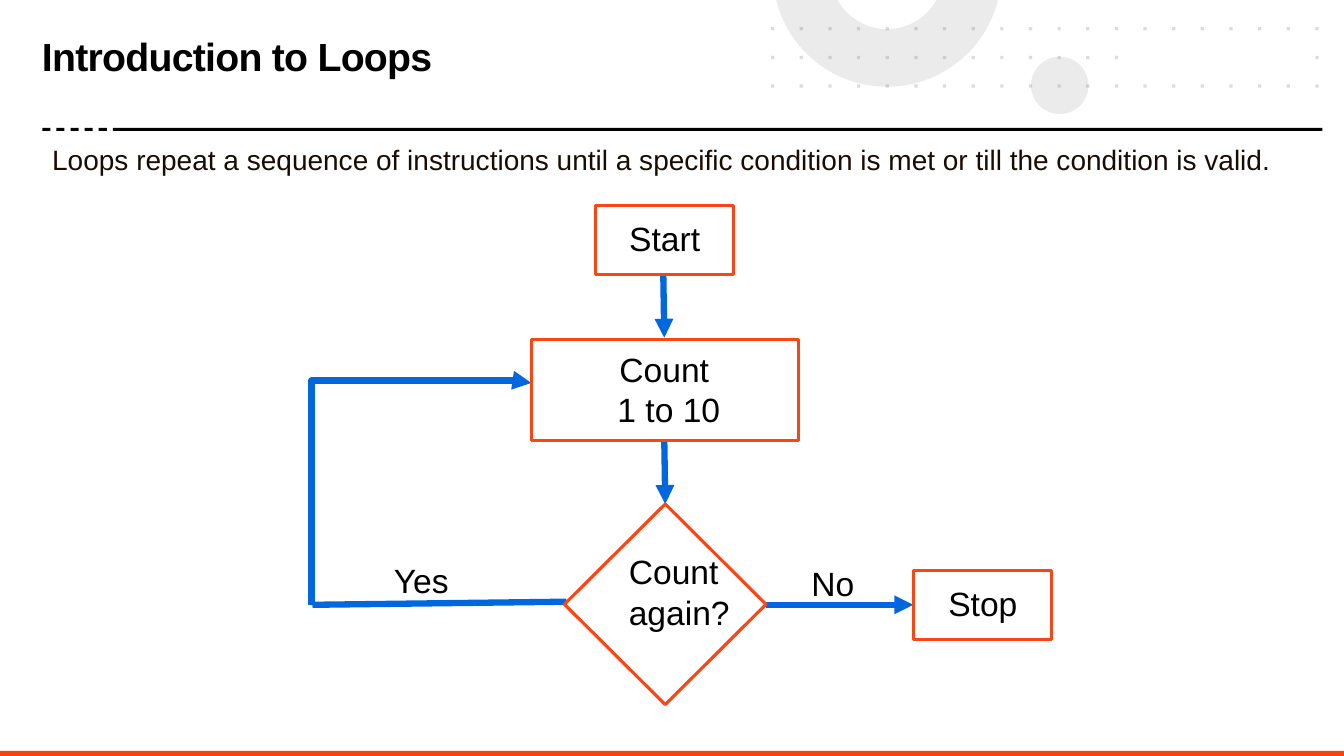
from dataclasses import dataclass
from math import asin, cos, pi, sin

from lxml.etree import SubElement
from pptx import Presentation
from pptx.dml.color import RGBColor
from pptx.enum.shapes import MSO_CONNECTOR, MSO_SHAPE
from pptx.enum.text import MSO_ANCHOR, MSO_AUTO_SIZE, PP_ALIGN
from pptx.oxml.ns import qn
from pptx.util import Pt


@dataclass(frozen=True)
class Theme:
    font: str = "Arial"
    black: RGBColor = RGBColor.from_string("000000")
    white: RGBColor = RGBColor.from_string("FFFFFF")
    body: RGBColor = RGBColor.from_string("1A0C02")
    footer: RGBColor = RGBColor.from_string("FA4211")
    outline: RGBColor = RGBColor.from_string("FA4616")
    arrow: RGBColor = RGBColor.from_string("0067DF")
    gray: RGBColor = RGBColor.from_string("D9D9D9")
    dots: RGBColor = RGBColor.from_string("44546A")
    title_size: int = 28
    body_size: int = 20
    label_size: int = 24


theme = Theme()


def paint(sp, color, outline=None, opacity=None):
    """Fill a shape, with an optional outline colour and opacity in percent."""
    sp.shadow.inherit = False
    sp.fill.solid()
    sp.fill.fore_color.rgb = color
    if opacity:
        rgb = sp._element.spPr.find(".//" + qn("a:srgbClr"))
        SubElement(rgb, qn("a:alpha"), val=str(opacity * 1000))
    if outline:
        sp.line.color.rgb = outline
        sp.line.width = Pt(2.25)
    else:
        sp.line.fill.background()


def write(tf, text, size, color, align=PP_ALIGN.LEFT):
    tf.word_wrap = True
    tf.auto_size = MSO_AUTO_SIZE.NONE
    tf.vertical_anchor = MSO_ANCHOR.TOP
    tf.text = text
    for p in tf.paragraphs:
        p.alignment = align
        for r in p.runs:
            r.font.name = theme.font
            r.font.size = Pt(size)
            r.font.color.rgb = color


prs = Presentation()
prs.slide_width, prs.slide_height = Pt(960), Pt(540)
s = prs.slides.add_slide(prs.slide_layouts[5])
shapes = s.shapes

# Corner decoration: disc, cut-off ring and dot grid
disc = shapes.add_shape(MSO_SHAPE.OVAL, Pt(736.5), Pt(40.5), Pt(41), Pt(41))
paint(disc, theme.gray, opacity=50)

ring_x, ring_y, steps = 633.6, -19.6, 48
ring_points = []
for radius, direction in ((81.6, 1), (40.4, -1)):
    start = asin(-ring_y / radius)
    arc = [start + (pi - 2 * start) * i / steps for i in range(steps + 1)]
    ring_points += [(Pt(ring_x + radius * cos(a)), Pt(ring_y + radius * sin(a)))
                    for a in arc[::direction]]
builder = shapes.build_freeform(*ring_points[0])
builder.add_line_segments(ring_points[1:])
paint(builder.convert_to_shape(), theme.gray, opacity=50)

dot, pitch = 2.3, 20.46
dots = [(550.8 + pitch * col, 19.4 + pitch * row)
        for row in range(3) for col in range(20)
        if not (row == 1 and 13 <= col <= 18)]
builder = shapes.build_freeform(Pt(dots[0][0]), Pt(dots[0][1]))
for x, y in dots:
    builder.move_to(Pt(x), Pt(y))
    builder.add_line_segments([(Pt(x + dot), Pt(y)), (Pt(x + dot), Pt(y + dot)),
                               (Pt(x), Pt(y + dot))])
paint(builder.convert_to_shape(), theme.dots, opacity=20)

# Title
title = shapes.title
title.left, title.top, title.width, title.height = Pt(30), Pt(28), Pt(520.5), Pt(54)
tf = title.text_frame
write(tf, "Introduction to Loops", theme.title_size, theme.black)
tf.margin_left = tf.margin_right = tf.margin_top = tf.margin_bottom = 0
p = tf.paragraphs[0]
p.line_spacing = 0.85
p.runs[0].font.bold = True
p.runs[0].font._element.set("spc", "-50")

# Dashed rule under the title and footer bar
bars = [(80.6, 91.4, 864, 2.2, theme.black), (0, 536.4, 960, 3.6, theme.footer)]
bars += [(30.2 + 10.08 * i, 91.4, 5.8, 2.2, theme.black) for i in range(5)]
for x, y, w, h, color in bars:
    bar = shapes.add_shape(MSO_SHAPE.RECTANGLE, Pt(x), Pt(y), Pt(w), Pt(h))
    paint(bar, color)

# Flowchart connectors: kind, start, end, arrowhead
straight, elbow = MSO_CONNECTOR.STRAIGHT, MSO_CONNECTOR.ELBOW
connectors = [
    (straight, 404.6, 429.8, 223.2, 432, False),
    (elbow, 380.2, 431.3, 221.8, 274.3, True),
    (straight, 474.5, 314.6, 475.2, 360, True),
    (straight, 547.2, 432, 652.3, 432, True),
    (straight, 473.8, 195.8, 474.5, 241.2, True),
]
for kind, x1, y1, x2, y2, arrowhead in connectors:
    line = shapes.add_connector(kind, Pt(x1), Pt(y1), Pt(x2), Pt(y2))
    line.line.color.rgb = theme.arrow
    line.line.width = Pt(4.5)
    spPr = line._element.spPr
    if arrowhead:
        SubElement(spPr.find(qn("a:ln")), qn("a:tailEnd"), type="triangle")
    SubElement(spPr, qn("a:effectLst"))
    if kind == elbow:
        spPr.find(qn("a:xfrm")).set("rot", "5400000")
        geometry = spPr.find(qn("a:prstGeom"))
        guides = geometry.find(qn("a:avLst"))
        if guides is None:
            guides = SubElement(geometry, qn("a:avLst"))
        SubElement(guides, qn("a:gd"), name="adj1", fmla="val 101100")

# Flowchart nodes
nodes = [
    (MSO_SHAPE.RECTANGLE, 425.5, 146.9, 98.6, 49),
    (MSO_SHAPE.RECTANGLE, 379.4, 242.6, 190.8, 72.4),
    (MSO_SHAPE.DIAMOND, 403.2, 360, 144, 143.3),
    (MSO_SHAPE.RECTANGLE, 652.3, 407.5, 98.6, 49),
]
for kind, x, y, w, h in nodes:
    node = shapes.add_shape(kind, Pt(x), Pt(y), Pt(w), Pt(h))
    paint(node, theme.white, theme.outline)

# Introductory sentence and flowchart labels
sentence = ("Loops repeat a sequence of instructions until a specific condition "
            "is met or till the condition is valid.")
left, center = PP_ALIGN.LEFT, PP_ALIGN.CENTER
texts = [
    (sentence, 30.2, 97.9, 912.2, 31.7, theme.body_size, theme.body, left),
    ("Start", 425.5, 151.9, 98.6, 38.9, theme.label_size, theme.black, center),
    ("Count \n1 to 10", 419.8, 245.5, 115.9, 70.6, theme.label_size, theme.black, center),
    ("Count again?", 442.1, 390.2, 89.3, 124.6, theme.label_size, theme.black, left),
    ("Stop", 670.3, 412.6, 64.8, 70.6, theme.label_size, theme.black, left),
    ("Yes", 274.3, 396.7, 67.7, 38.9, theme.label_size, theme.black, left),
    ("No", 572.4, 398.9, 56.2, 38.9, theme.label_size, theme.black, left),
]
for text, x, y, w, h, size, color, align in texts:
    box = shapes.add_textbox(Pt(x), Pt(y), Pt(w), Pt(h))
    write(box.text_frame, text, size, color, align)

prs.save("out.pptx")
